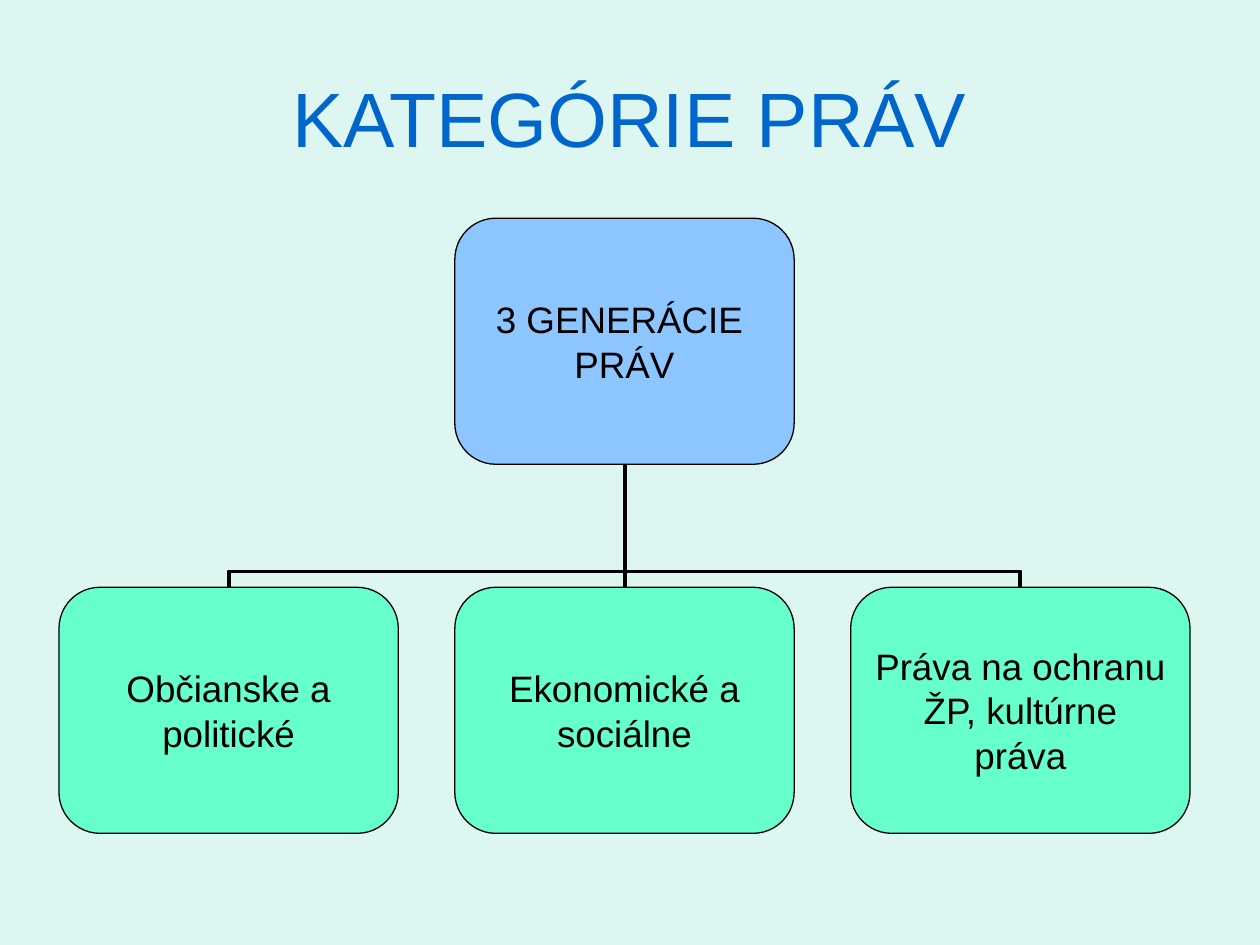
import pptx
import pptx.dml.color
import pptx.enum.shapes
import pptx.enum.text
import pptx.oxml
import pptx.oxml.ns
import pptx.util
from pptx.util import Cm

COLOURS = {
    "background": "DEF6F1",
    "title": "0066CC",
    "root": "8DC6FF",
    "branch": "66FFCC",
    "ink": "000000",
}
FONT = "Arial"


def rgb(name):
    return pptx.dml.color.RGBColor.from_string(COLOURS[name])


class Chart:
    """Holds the current slide and draws the parts of the hierarchy."""

    def __init__(self, slide):
        self.slide = slide
        slide.background.fill.solid()
        slide.background.fill.fore_color.rgb = rgb("background")

    def add_lines(self, frame, lines, size, colour):
        frame.vertical_anchor = pptx.enum.text.MSO_ANCHOR.MIDDLE
        for index, line in enumerate(lines):
            paragraph = frame.add_paragraph() if index else frame.paragraphs[0]
            paragraph.alignment = pptx.enum.text.PP_ALIGN.CENTER
            run = paragraph.add_run()
            run.text = line
            run.font.name = FONT
            run.font.size = pptx.util.Pt(size)
            run.font.color.rgb = rgb(colour)

    def title(self, text, left, top, width, height):
        heading = self.slide.shapes.add_textbox(Cm(left), Cm(top), Cm(width), Cm(height))
        heading.text_frame.word_wrap = True
        self.add_lines(heading.text_frame, [text], 44, "title")

    def box(self, lines, left, top, width, height, fill):
        box = self.slide.shapes.add_shape(
            pptx.enum.shapes.MSO_SHAPE.ROUNDED_RECTANGLE,
            Cm(left), Cm(top), Cm(width), Cm(height))
        box.shadow.inherit = False
        box.fill.solid()
        box.fill.fore_color.rgb = rgb(fill)
        box.line.color.rgb = rgb("ink")
        box.line.width = pptx.util.Pt(0.75)
        frame = box.text_frame
        frame.margin_left = frame.margin_right = 0
        frame.margin_top = frame.margin_bottom = 0
        frame.word_wrap = False
        self.add_lines(frame, lines, 21, "ink")

    def connector(self, kind, x1, y1, x2, y2):
        link = self.slide.shapes.add_connector(kind, Cm(x1), Cm(y1), Cm(x2), Cm(y2))
        link.line.color.rgb = rgb("ink")
        link.line.width = pptx.util.Pt(2.25)
        properties = link._element.spPr
        properties.append(pptx.oxml.parse_xml(
            f"<a:effectLst {pptx.oxml.ns.nsdecls('a')}/>"))
        return properties

    def branch(self, x, y, root_x, root_y):
        """Link the top of a branch box to the bottom of the root box."""
        kinds = pptx.enum.shapes.MSO_CONNECTOR
        if x == root_x:
            self.connector(kinds.STRAIGHT, x, y, root_x, root_y)
            return
        # An elbow leaves sideways, so it is laid out flat and then turned
        side = 1 if x > root_x else -1
        middle_x, middle_y = (x + root_x) / 2, (y + root_y) / 2
        half_drop, half_span = side * (y - root_y) / 2, abs(x - root_x) / 2
        properties = self.connector(
            kinds.ELBOW,
            middle_x - half_drop, middle_y + half_span,
            middle_x + half_drop, middle_y - half_span)
        properties.xfrm.set("rot", str((180 + 90 * side) * 60000))
        bend = properties.find(".//" + pptx.oxml.ns.qn("a:avLst"))
        bend.append(pptx.oxml.parse_xml(
            f"<a:gd {pptx.oxml.ns.nsdecls('a')} name='adj1' fmla='val 12800'/>"))


def main():
    deck = pptx.Presentation()
    deck.slide_width, deck.slide_height = Cm(25.4), Cm(19.05)
    chart = Chart(deck.slides.add_slide(deck.slide_layouts[6]))

    chart.title("KATEGÓRIE PRÁV", 1.27, 0.76, 22.86, 3.18)

    # Grid of the hierarchy
    width, height = 6.84, 4.96
    first_left, step = 1.19, 7.98
    root_top, branch_top = 4.4, 11.84
    generations = [
        ["Občianske a", "politické"],
        ["Ekonomické a", "sociálne"],
        ["Práva na ochranu", "ŽP, kultúrne", "práva"],
    ]
    lefts = [first_left + step * column for column in range(len(generations))]
    root_left = lefts[1]

    # Links lie behind the boxes
    for left in reversed(lefts):
        chart.branch(left + width / 2, branch_top,
                     root_left + width / 2, root_top + height)

    # Root and its three generations
    chart.box(["3 GENERÁCIE ", "PRÁV"], root_left, root_top, width, height, "root")
    for left, lines in zip(lefts, generations):
        chart.box(lines, left, branch_top, width, height, "branch")

    deck.save("out.pptx")


if __name__ == "__main__":
    main()
